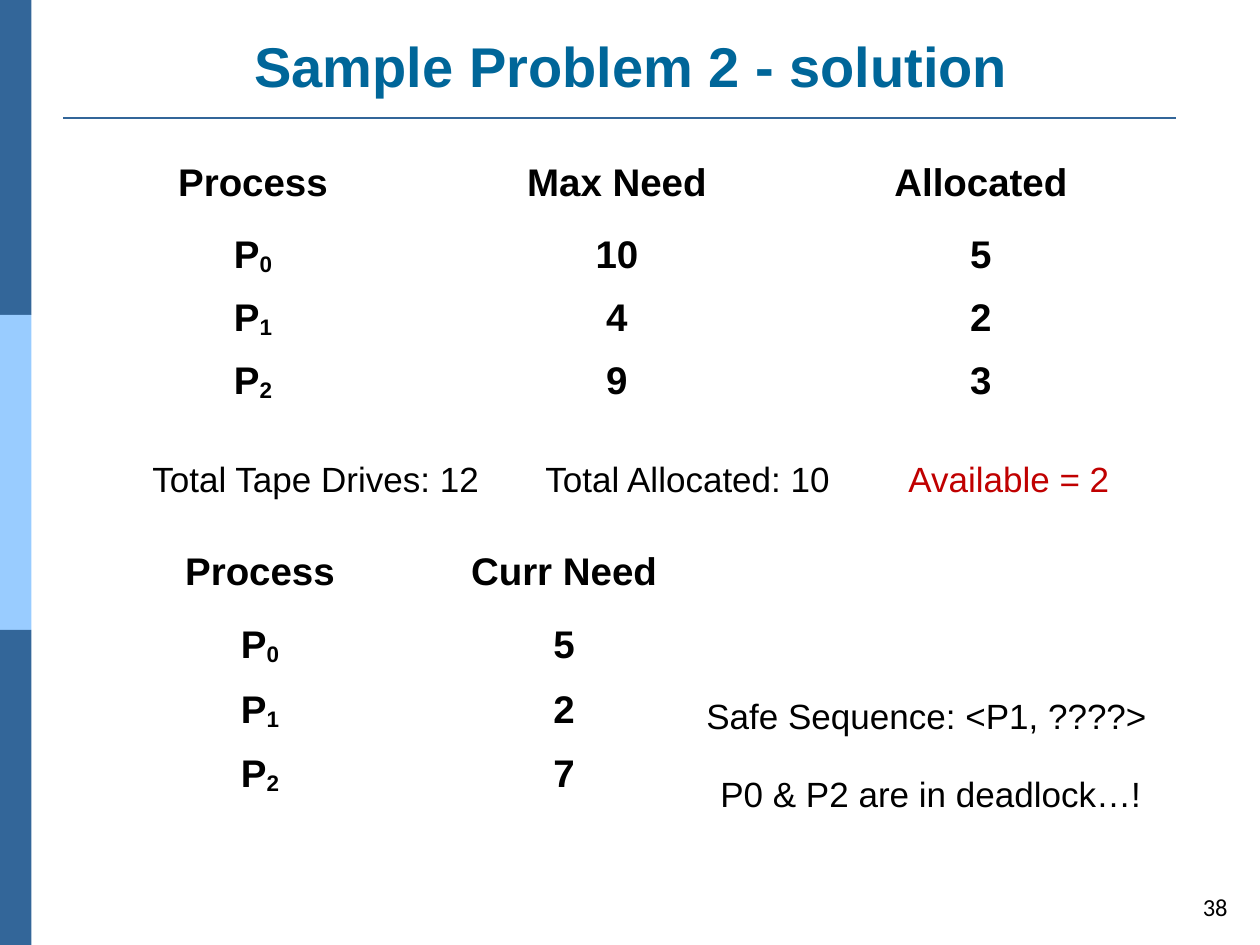
"""Build the slide that solves the second deadlock sample problem."""
from lxml.etree import SubElement
from pptx import Presentation
from pptx.dml.color import RGBColor
from pptx.enum.shapes import MSO_CONNECTOR, MSO_SHAPE
from pptx.enum.text import MSO_ANCHOR, MSO_AUTO_SIZE, PP_ALIGN
from pptx.oxml.ns import qn
from pptx.util import Emu, Pt

BLACK = RGBColor(0x00, 0x00, 0x00)
RED = RGBColor(0xC0, 0x00, 0x00)
TEAL = RGBColor(0x00, 0x66, 0x99)
DARK_BLUE = RGBColor(0x33, 0x66, 0x99)
LIGHT_BLUE = RGBColor(0x99, 0xCC, 0xFF)

TITLE = "Sample Problem 2 - solution"
PAGE_NUMBER = "38"
BANDS = [DARK_BLUE, LIGHT_BLUE, DARK_BLUE]
TABLES = [
    {
        "place": (71, 155),
        "column": 364,
        "rows": (72, 63, 63, 49),
        "cells": [
            ("Process", "Max Need", "Allocated"),
            (("P", "0"), "10", "5"),
            (("P", "1"), "4", "2"),
            (("P", "2"), "9", "3"),
        ],
    },
    {
        "place": (108, 544),
        "column": 304,
        "rows": (73, 65, 64, 53),
        "cells": [
            ("Process", "Curr Need"),
            (("P", "0"), "5"),
            (("P", "1"), "2"),
            (("P", "2"), "7"),
        ],
    },
]
TOTALS = [
    ("Total Tape Drives: 12\t", BLACK),
    ("Total Allocated: 10\t", BLACK),
    ("Available = 2", RED),
]
TOTAL_STOPS = (393, 756)
NOTES = [
    ((140, 451, 1005, 55), TOTALS),
    ((694, 688, 503, 55), [("Safe Sequence: <P1, ????>", BLACK)]),
    ((708, 766, 503, 55), [("P0 & P2 are in deadlock…!", BLACK)]),
]


def px(length):
    return Emu(round(length * 914400 / 126))


def style(paragraph, size, color=BLACK, bold=False, name="Arial"):
    font = paragraph.font
    font.name, font.size, font.bold = name, Pt(size), bold
    font.color.rgb = color


def add_tab_stops(paragraph, stops):
    tabs = SubElement(paragraph._p.get_or_add_pPr(), qn("a:tabLst"))
    for stop in stops:
        SubElement(tabs, qn("a:tab"), pos=str(px(stop)), algn="l")


def add_text_box(page, place):
    box = page.shapes.add_textbox(*map(px, place))
    box.text_frame.word_wrap = True
    return box.text_frame


def add_bands(page):
    for index, color in enumerate(BANDS):
        band = page.shapes.add_shape(
            MSO_SHAPE.RECTANGLE, 0, px(315 * index), px(31.5), px(315))
        band.shadow.inherit = False
        band.fill.solid()
        band.fill.fore_color.rgb = color
        band.line.fill.background()


def add_rule(page):
    rule = page.shapes.add_connector(
        MSO_CONNECTOR.STRAIGHT, px(63), px(118), px(1176), px(118))
    rule.line.color.rgb = DARK_BLUE
    rule.line.width = Pt(1.5)
    SubElement(rule._element.spPr, qn("a:effectLst"))


def fill_cell(cell, content):
    cell.fill.background()
    paragraph = cell.text_frame.paragraphs[0]
    paragraph.alignment = PP_ALIGN.CENTER
    style(paragraph, 22, bold=True)
    base, subscript = (content, "") if isinstance(content, str) else content
    paragraph.add_run().text = base
    if subscript:
        span = paragraph.add_run()
        span.text = subscript
        span._r.get_or_add_rPr().set("baseline", "-12000")


def add_grid(page, place, column, rows, cells):
    count = len(cells[0])
    table = page.shapes.add_table(
        len(rows), count, *map(px, (*place, column * count, sum(rows)))).table
    table.first_row = table.horz_banding = False
    for grid_column in table.columns:
        grid_column.width = px(column)
    for row, height, contents in zip(table.rows, rows, cells):
        row.height = px(height)
        for cell, content in zip(row.cells, contents):
            fill_cell(cell, content)


def add_note(page, place, spans):
    frame = add_text_box(page, place)
    frame.auto_size = MSO_AUTO_SIZE.SHAPE_TO_FIT_TEXT
    paragraph = frame.paragraphs[0]
    if len(spans) > 1:
        add_tab_stops(paragraph, TOTAL_STOPS)
    style(paragraph, 20)
    for text, color in spans:
        span = paragraph.add_run()
        span.text = text
        if color != BLACK:
            span.font.color.rgb = color


def add_title(page):
    title = page.shapes.title
    title.left, title.top, title.width, title.height = map(px, (157, 5, 949, 100))
    title.text = TITLE
    title.text_frame.vertical_anchor = MSO_ANCHOR.BOTTOM
    paragraph = title.text_frame.paragraphs[0]
    paragraph.alignment = PP_ALIGN.CENTER
    style(paragraph, 32, TEAL, bold=True)


def add_page_number(page):
    frame = add_text_box(page, (1183, 881, 57, 52))
    frame.vertical_anchor = MSO_ANCHOR.MIDDLE
    paragraph = frame.paragraphs[0]
    paragraph.text = PAGE_NUMBER
    paragraph.alignment = PP_ALIGN.RIGHT
    style(paragraph, 14, name="Calibri")


def main():
    deck = Presentation()
    deck.slide_width, deck.slide_height = px(1260), px(945)
    page = deck.slides.add_slide(deck.slide_layouts[5])
    add_bands(page)
    add_rule(page)
    for grid in TABLES:
        add_grid(page, **grid)
    for place, spans in NOTES:
        add_note(page, place, spans)
    add_title(page)
    add_page_number(page)
    deck.save("out.pptx")


if __name__ == "__main__":
    main()
